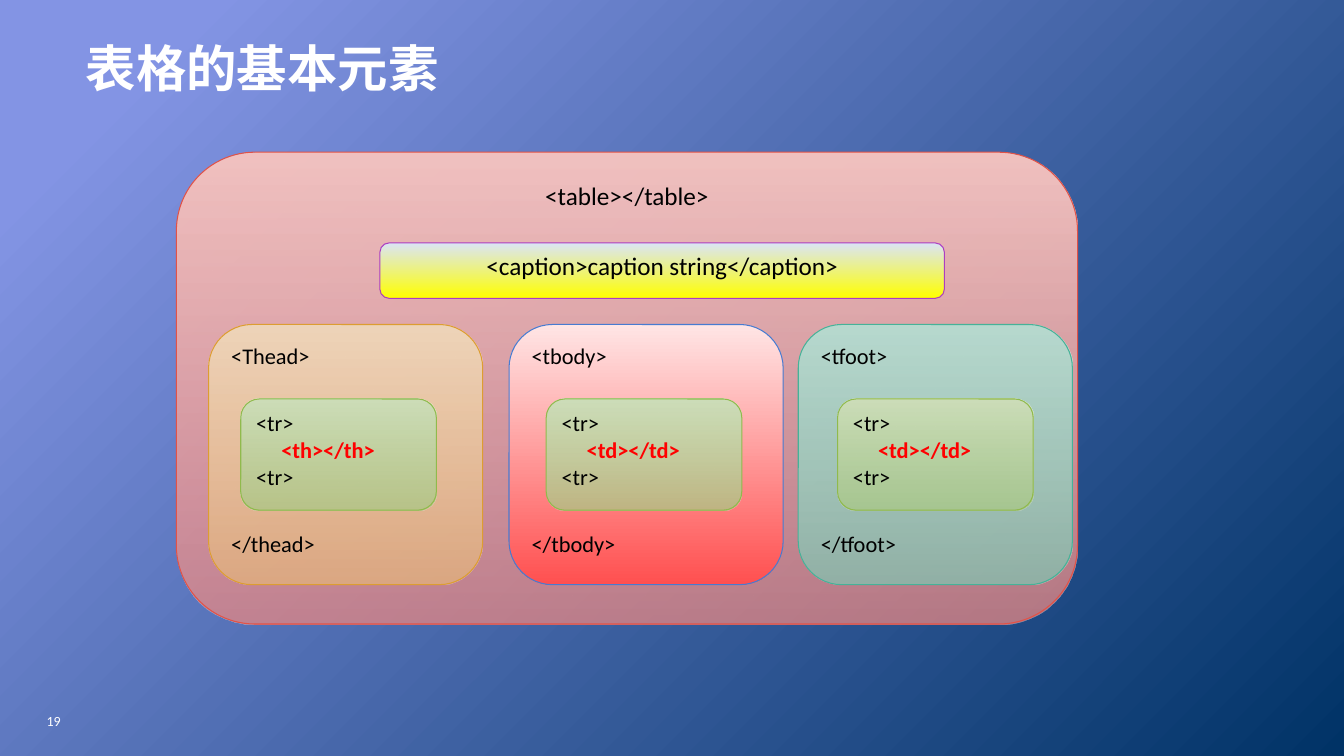
"""Build a slide that shows how the parts of an HTML table nest."""
from lxml import etree
from pptx import Presentation
from pptx.dml.color import RGBColor
from pptx.enum import shapes, text
from pptx.oxml import ns
from pptx.util import Pt

TITLE = "表格的基本元素"
PAGE_NUMBER = "19"
FONT = "Calibri"
BLACK, WHITE, RED = "000000", "FFFFFF", "FF0000"
LEFT, CENTER, RIGHT = text.PP_ALIGN.LEFT, text.PP_ALIGN.CENTER, text.PP_ALIGN.RIGHT

TABLE_STYLE = ("F2C2C0", "E88985", 74, "E25247")
CAPTION_STYLE = ("DAE5F6", "FFFF00", 100, "AC3EC1")
ROW_STYLE = ("CDDEB9", "ABC987", 74, "90BA4C")
SECTIONS = [
    ("<Thead>", "</thead>", "<th></th>", 149, 172, ("EFD5BA", "E4B47E", 74, "DD9D31")),
    ("<tbody>", "</tbody>", "<td></td>", 363.6, 390.2, ("FFE5E5", "FF5050", 100, "477BD1")),
    ("<tfoot>", "</tfoot>", "<td></td>", 570.2, 598.3, ("B7DACF", "85C3B1", 74, "46B298")),
]
SECTION_TOP, SECTION_WIDTH, SECTION_HEIGHT = 231.8, 195.8, 185.8
ROW_TOP, ROW_WIDTH, ROW_HEIGHT = 285, 139.7, 79.4
CLOSING_TAG_GAP = 115
CELL_INDENT = 18


def rgb(value):
    return RGBColor.from_string(value)


def set_gradient(fill, angle, colors, start=0):
    fill.gradient()
    fill.gradient_angle = angle
    for stop, color, position in zip(fill.gradient_stops, colors, (start, 1)):
        stop.color.rgb = rgb(color)
        stop.position = position


def format_paragraph(para, size, color=BLACK, bold=False, align=LEFT):
    para.alignment = align
    font = para.font
    font.name, font.size, font.bold = FONT, Pt(size), bold
    font.color.rgb = rgb(color)


def add_panel(page, bounds, style, lines, size, align=LEFT):
    top_color, bottom_color, opacity, line_color = style
    box = page.shapes.add_shape(
        shapes.MSO_SHAPE.ROUNDED_RECTANGLE, *[Pt(length) for length in bounds])
    box.shadow.inherit = False
    set_gradient(box.fill, 270, (top_color, bottom_color))
    if opacity < 100:
        last_color = box.fill._xPr.findall(".//" + ns.qn("a:srgbClr"))[-1]
        etree.SubElement(last_color, ns.qn("a:alpha")).set("val", str(opacity * 1000))
    box.line.color.rgb = rgb(line_color)
    box.line.width = Pt(0.75)
    frame = box.text_frame
    frame.word_wrap = True
    frame.vertical_anchor = text.MSO_ANCHOR.TOP
    frame.text = "\n".join(lines)
    for para in frame.paragraphs:
        format_paragraph(para, size, align=align)
    return frame.paragraphs


def add_section(page, opening, closing, cell, left, row_left, style):
    bounds = (left, SECTION_TOP, SECTION_WIDTH, SECTION_HEIGHT)
    paras = add_panel(page, bounds, style, [opening, closing], 16)
    paras[1].space_before = Pt(CLOSING_TAG_GAP)
    row_bounds = (row_left, ROW_TOP, ROW_WIDTH, ROW_HEIGHT)
    cell_para = add_panel(page, row_bounds, ROW_STYLE, ["<tr>", cell, "<tr>"], 16)[1]
    format_paragraph(cell_para, 16, RED, True)
    cell_para._p.get_or_add_pPr().set("marL", str(Pt(CELL_INDENT)))


def main():
    deck = Presentation()
    deck.slide_width, deck.slide_height = Pt(960), Pt(540)
    page = deck.slides.add_slide(deck.slide_layouts[5])
    set_gradient(page.background.fill, 315, ("8394E4", "003366"), 0.1)

    title = page.shapes.title
    title.left, title.top, title.width, title.height = Pt(54), Pt(11.5), Pt(798), Pt(72.7)
    title.text_frame.text = TITLE
    title.text_frame.vertical_anchor = text.MSO_ANCHOR.MIDDLE
    format_paragraph(title.text_frame.paragraphs[0], 36, WHITE, True)

    add_panel(page, (126, 108.7, 643.7, 337), TABLE_STYLE, ["<table></table>"], 18, CENTER)
    for section in SECTIONS:
        add_section(page, *section)
    add_panel(page, (271.4, 173.5, 403.2, 39.6), CAPTION_STYLE,
              ["<caption>caption string</caption>"], 18, CENTER)

    number = page.shapes.add_textbox(Pt(7.2), Pt(500.4), Pt(43.2), Pt(29.5)).text_frame
    number.word_wrap = True
    number.vertical_anchor = text.MSO_ANCHOR.MIDDLE
    number.text = PAGE_NUMBER
    format_paragraph(number.paragraphs[0], 10, WHITE, align=RIGHT)

    deck.save("out.pptx")


if __name__ == "__main__":
    main()
